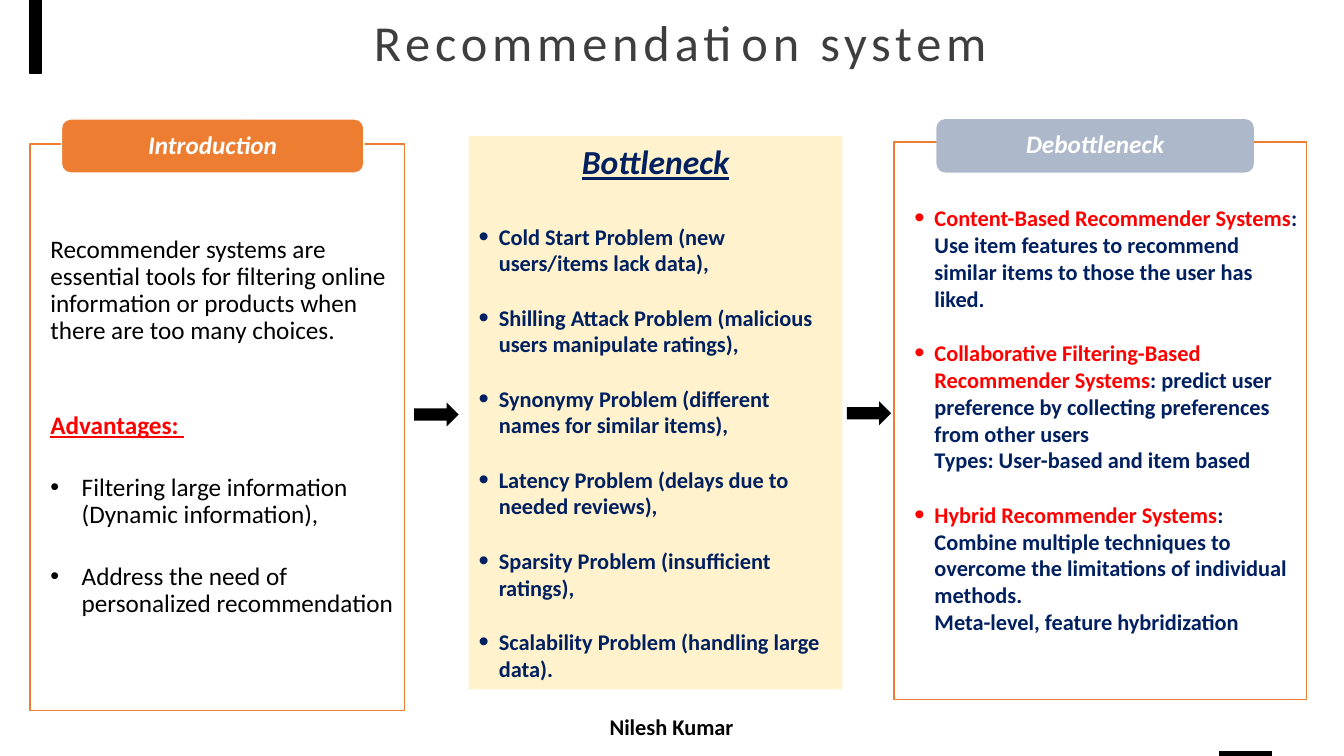
from lxml import etree
from pptx import Presentation, util as u
from pptx.dml.color import RGBColor
from pptx.enum import shapes, text
from pptx.oxml import ns

FONT = "Calibri"
COLOURS = {"black": "000000", "white": "FFFFFF", "grey": "3E3E3E", "navy": "002060",
           "red": "FF0000", "orange": "ED7D31", "cream": "FFF2CC", "steel": "ADB9CA"}

TITLE = "Recommendation system"
AUTHOR = "Nilesh Kumar"

INTRODUCTION = [
    ([("Recommender systems are essential tools for filtering online information "
       "or products when there are too many choices.", {})], {}),
    ([("Advantages: ", {"colour": "red", "bold": True, "underline": True})], {"before": 47.8}),
    ([("Filtering large information (Dynamic information),", {})],
     {"before": 24.8, "hang": 0.79, "bullet": 100}),
    ([("Address the need of personalized recommendation", {})],
     {"before": 24.8, "hang": 0.79, "bullet": 100}),
]
PROBLEMS = [
    "Cold Start Problem (new users/items lack data),",
    "Shilling Attack Problem (malicious users manipulate ratings),",
    "Synonymy Problem (different names for similar items),",
    "Latency Problem (delays due to needed reviews),",
    "Sparsity Problem (insufficient ratings),",
    "Scalability Problem (handling large data).",
]
SOLUTIONS = [
    ("Content-Based Recommender Systems",
     ": Use item features to recommend similar items to those the user has liked.", None),
    ("Collaborative Filtering-Based Recommender Systems",
     ": predict user preference by collecting preferences from other users",
     "Types: User-based and item based"),
    ("Hybrid Recommender Systems",
     ": Combine multiple techniques to overcome the limitations of individual methods.",
     "Meta-level, feature hybridization"),
]

BULLET = {"hang": 0.51, "bullet": 131}
BLANK_LINE = 19.5

bottleneck = [([("Bottleneck", {"size": 24, "italic": True, "underline": True})],
               {"align": "CENTER"})]
for number, problem in enumerate(PROBLEMS):
    gap = BLANK_LINE if number else 29.3
    bottleneck.append(([(problem, {})], {"before": gap, **BULLET}))

debottleneck = []
for number, (name, summary, detail) in enumerate(SOLUTIONS):
    gap = BLANK_LINE if number else 0
    debottleneck.append(([(name, {"colour": "red"}), (summary, {})], {"before": gap, **BULLET}))
    if detail:
        debottleneck.append(([(detail, {})], {"left": 0.51}))

# placeholder index, (left, top, width, height), insets, fill, line, paragraphs, text format
PANELS = [
    (1, (0.76, 3.63, 9.43, 14.27), (0.51, 2.33, 0, 0), "white", "orange", INTRODUCTION,
     {"size": 18, "colour": "black", "spacing": 0.9}),
    (2, (11.81, 3.43, 9.42, 13.94), (0.25, 0.13, 0.25, 0.13), "cream", None, bottleneck,
     {"size": 16, "colour": "navy", "bold": True}),
    (4, (22.53, 3.58, 10.4, 14.05), (0.51, 1.57, 0, 0), "white", "orange", debottleneck,
     {"size": 16, "colour": "navy", "bold": True}),
]
HEADINGS = [("Introduction", (1.55, 3, 7.62, 1.36), "orange", "white"),
            ("Debottleneck", (23.6, 3, 8, 1.35), "steel", None)]
ARROWS = [(10.44, 10.14, 1.12, 0.61), (21.34, 10.11, 1.12, 0.61)]
BARS = [(0.76, 0, 0.28, 1.85), (30.73, 18.94, 1.32, 0.13)]


def rgb(name):
    """Return the named colour."""
    return RGBColor.from_string(COLOURS[name])


def place(box, area):
    """Move and size a box, in centimetres."""
    box.left, box.top, box.width, box.height = map(u.Cm, area)


def paint(box, fill, line=None):
    """Set the fill and the outline of a box."""
    box.fill.solid()
    box.fill.fore_color.rgb = rgb(fill)
    if line:
        box.line.color.rgb = rgb(line)
        box.line.width = u.Pt(1)
    else:
        box.line.fill.background()


def add_block(kind, area, fill, line=None):
    """Add a flat preset shape."""
    box = page.shapes.add_shape(kind, *map(u.Cm, area))
    box.shadow.inherit = False
    paint(box, fill, line)
    return box


def add_span(para, words, size=18, colour="black", bold=False, italic=False,
             underline=False, tracking=0):
    """Add one formatted run to a paragraph."""
    span = para.add_run()
    span.text = words
    font = span.font
    font.name, font.size, font.color.rgb = FONT, u.Pt(size), rgb(colour)
    font.bold, font.italic, font.underline = bold, italic, underline
    if tracking:
        span._r.get_or_add_rPr().set("spc", str(tracking))


def set_bullet(para, percent, left, hang):
    """Set the indent of a paragraph and its bullet, or none at zero percent."""
    props = para._p.get_or_add_pPr()
    props.set("marL", str(u.Cm(left + hang)))
    props.set("indent", str(-u.Cm(hang)))
    if not percent:
        etree.SubElement(props, ns.qn("a:buNone"))
        return
    etree.SubElement(props, ns.qn("a:buSzPct")).set("val", str(percent * 1000))
    etree.SubElement(props, ns.qn("a:buFont")).set("typeface", "Arial")
    etree.SubElement(props, ns.qn("a:buChar")).set("char", "•")


def write(box, paragraphs, insets=(0, 0, 0, 0), anchor="TOP", spacing=1.0, **style):
    """Fill a box with paragraphs of (spans, layout)."""
    frame = box.text_frame
    frame.word_wrap = True
    frame.auto_size = text.MSO_AUTO_SIZE.NONE
    frame.vertical_anchor = getattr(text.MSO_ANCHOR, anchor)
    (frame.margin_left, frame.margin_top,
     frame.margin_right, frame.margin_bottom) = map(u.Cm, insets)
    for number, (spans, layout) in enumerate(paragraphs):
        para = frame.add_paragraph() if number else frame.paragraphs[0]
        para.alignment = getattr(text.PP_ALIGN, layout.get("align", "LEFT"))
        para.line_spacing = spacing
        para.space_before = u.Pt(layout.get("before", 0))
        para.space_after = u.Pt(0)
        set_bullet(para, layout.get("bullet", 0), layout.get("left", 0), layout.get("hang", 0))
        for words, extra in spans:
            add_span(para, words, **{**style, **extra})


def centred(words):
    """Return a single centred paragraph."""
    return [([(words, {})], {"align": "CENTER"})]


deck = Presentation()
deck.slide_width, deck.slide_height = u.Cm(33.87), u.Cm(19.05)
page = deck.slides.add_slide(deck.slide_layouts.get_by_name("Comparison"))

place(page.shapes.title, (1.47, 0.28, 31.37, 1.55))
write(page.shapes.title, centred(TITLE), size=36, colour="grey", tracking=350)

bodies = {holder.placeholder_format.idx: holder for holder in page.placeholders}
for index, area, insets, fill, line, paragraphs, style in PANELS:
    panel = bodies[index]
    place(panel, area)
    paint(panel, fill, line)
    write(panel, paragraphs, insets, **style)
unused = bodies[3].element
unused.getparent().remove(unused)

for words, area, fill, line in HEADINGS:
    heading = add_block(shapes.MSO_SHAPE.ROUNDED_RECTANGLE, area, fill, line)
    write(heading, centred(words), anchor="MIDDLE", spacing=0.9,
          colour="white", bold=True, italic=True)
for area in ARROWS:
    add_block(shapes.MSO_SHAPE.RIGHT_ARROW, area, "black")
for area in BARS:
    add_block(shapes.MSO_SHAPE.RECTANGLE, area, "black", "black")

author = page.shapes.add_textbox(*map(u.Cm, (3.02, 18.06, 27.81, 0.51)))
write(author, centred(AUTHOR), anchor="MIDDLE", size=16, bold=True)

deck.save("out.pptx")
